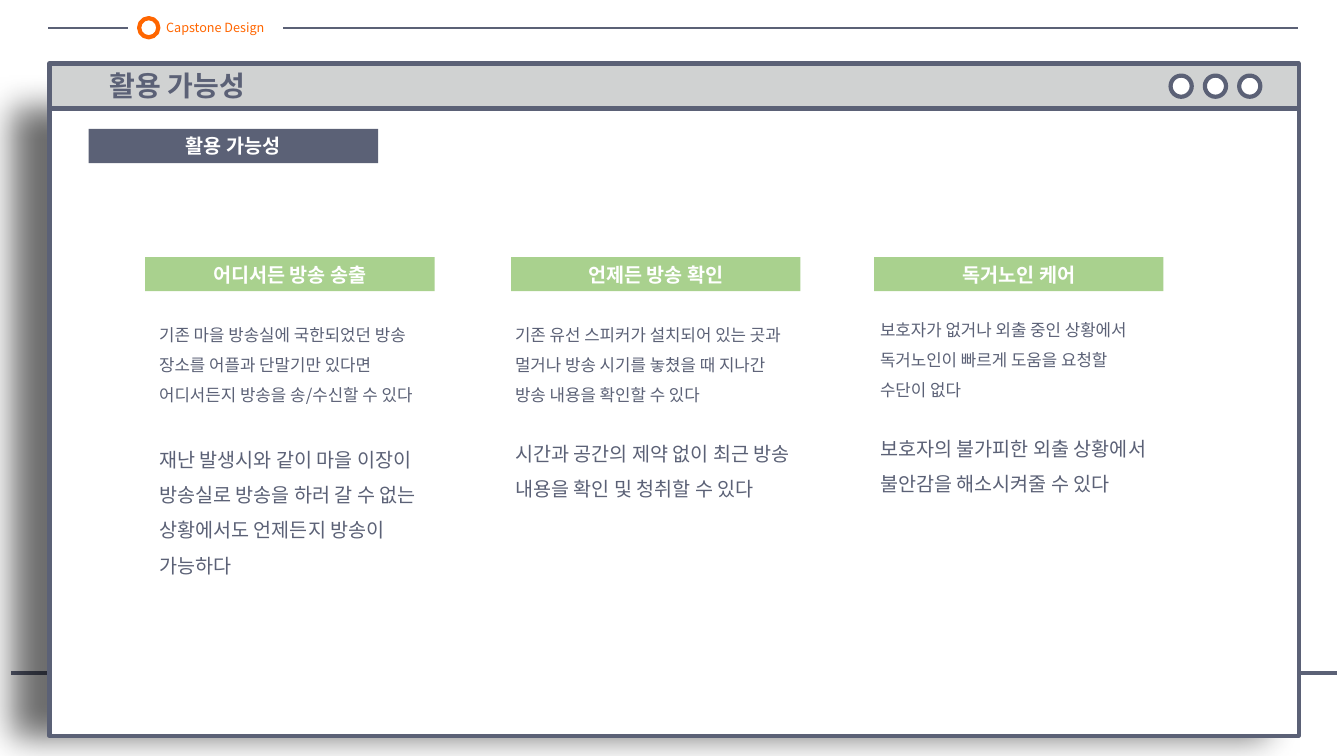
from lxml import etree
from pptx import Presentation
from pptx import util as u
from pptx.dml.color import RGBColor
from pptx.enum import shapes, text
from pptx.oxml import ns

PX = 9144  # 100 px to the inch
FONT = "Noto Sans CJK KR"
SLATE = RGBColor(0x5B, 0x61, 0x76)
GREY = RGBColor(0xD0, 0xD2, 0xD2)
GREEN = RGBColor(0xA9, 0xD1, 0x8E)
ORANGE = RGBColor(0xFF, 0x66, 0x00)
WHITE = RGBColor(0xFF, 0xFF, 0xFF)

# bar left, heading, body box, gap in points, fact, benefit
TOPICS = [
    (144, "어디서든 방송 송출", (148, 307, 287, 298), 22,
     "기존 마을 방송실에 국한되었던 방송 장소를 어플과 단말기만 있다면 "
     "어디서든지 방송을 송/수신할 수 있다",
     "재난 발생시와 같이 마을 이장이 방송실로 방송을 하러 갈 수 없는 "
     "상황에서도 언제든지 방송이 가능하다"),
    (507, "언제든 방송 확인", (501, 307, 294, 228), 18,
     "기존 유선 스피커가 설치되어 있는 곳과 멀거나 방송 시기를 놓쳤을 때 "
     "지나간 방송 내용을 확인할 수 있다",
     "시간과 공간의 제약 없이 최근 방송 내용을 확인 및 청취할 수 있다"),
    (867, "독거노인 케어", (863, 302, 294, 228), 18,
     "보호자가 없거나 외출 중인 상황에서 독거노인이 빠르게 도움을 요청할 "
     "수단이 없다",
     "보호자의 불가피한 외출 상황에서 불안감을 해소시켜줄 수 있다"),
]


def emu(box):
    return [n * PX for n in box]


def write(para, words, size, color=SLATE, bold=False, align=text.PP_ALIGN.LEFT,
          level=0, space=None, gap=0):
    """Put one formatted run in a paragraph."""
    para.alignment = align
    para.level = level
    para.line_spacing = space
    para.space_before = u.Pt(gap)
    run = para.add_run()
    run.text = words
    font = run.font
    font.size, font.bold, font.name = u.Pt(size), bold, FONT
    font.color.rgb = color
    # Hangul takes its typeface from the East Asian slot
    etree.SubElement(font._element, ns.qn("a:ea"), typeface=FONT)


def draw(parent, kind, box, fill, line=None):
    """Add a filled shape, outlined at 3 pt if a line colour is given."""
    shape = parent.add_shape(kind, *emu(box))
    shape.shadow.inherit = False
    shape.fill.solid()
    shape.fill.fore_color.rgb = fill
    if line is None:
        shape.line.fill.background()
    else:
        shape.line.color.rgb = line
        shape.line.width = u.Pt(3)
    shape.text_frame.vertical_anchor = text.MSO_ANCHOR.MIDDLE
    return shape


def rect(parent, box, fill, line=None):
    return draw(parent, shapes.MSO_SHAPE.RECTANGLE, box, fill, line)


def ring(parent, left, top, size, color):
    draw(parent, shapes.MSO_SHAPE.OVAL, (left, top, size, size), WHITE, color)


def rule(parent, left, right, top, width):
    """Add a horizontal line."""
    line = parent.add_connector(shapes.MSO_CONNECTOR.STRAIGHT,
                                *emu((left, top, right, top)))
    line.line.color.rgb = SLATE
    line.line.width = u.Pt(width)
    etree.SubElement(line._element.spPr, ns.qn("a:effectLst"))


def shade(shape):
    """Cast a soft shadow to the left."""
    effects = shape._element.spPr.find(ns.qn("a:effectLst"))
    outer = etree.SubElement(
        effects, ns.qn("a:outerShdw"), blurRad=str(u.Pt(24)),
        dist=str(u.Pt(25)), dir="10800000", algn="ctr", rotWithShape="0")
    color = etree.SubElement(outer, ns.qn("a:srgbClr"), val="000000")
    etree.SubElement(color, ns.qn("a:alpha"), val="57000")


def label(parent, left, top, words, fill):
    bar = rect(parent, (left, top, 287, 34), fill)
    write(bar.text_frame.paragraphs[0], words, 14, color=WHITE, bold=True,
          align=text.PP_ALIGN.CENTER)


def note(parent, box):
    """Add an empty wrapping text box and return its frame."""
    frame = parent.add_textbox(*emu(box)).text_frame
    frame.word_wrap = True
    return frame


def header(parent):
    rule(parent, 48, 127, 28, 1.75)
    rule(parent, 281, 1287, 28, 1.75)
    group = parent.add_group_shape().shapes
    frame = note(group, (155, 15, 357, 24))
    frame.vertical_anchor = text.MSO_ANCHOR.MIDDLE
    write(frame.paragraphs[0], "Capstone Design", 9, color=ORANGE)
    ring(group, 138, 18, 19, ORANGE)


def window(parent):
    rule(parent, 11, 1326, 668, 3)
    shade(rect(parent, (49, 108, 1239, 622), WHITE, SLATE))
    title = rect(parent, (49, 63, 1239, 44), GREY, SLATE)
    write(title.text_frame.paragraphs[0], "활용 가능성", 20, bold=True, level=1)
    for i in range(3):
        ring(parent, 1161 + 34 * i, 75, 21, SLATE)


def topic(parent, left, head, box, gap, fact, gain):
    label(parent, left, 255, head, GREEN)
    frame = note(parent, box)
    write(frame.paragraphs[0], fact, 12, space=1.5)
    write(frame.add_paragraph(), gain, 14, space=1.5, gap=gap)


def main():
    deck = Presentation()
    deck.slide_width, deck.slide_height = emu((1333, 750))
    parent = deck.slides.add_slide(deck.slide_layouts[6]).shapes
    header(parent)
    window(parent)
    label(parent, 88, 128, "활용 가능성", SLATE)
    for item in TOPICS:
        topic(parent, *item)
    deck.save("out.pptx")


if __name__ == "__main__":
    main()
